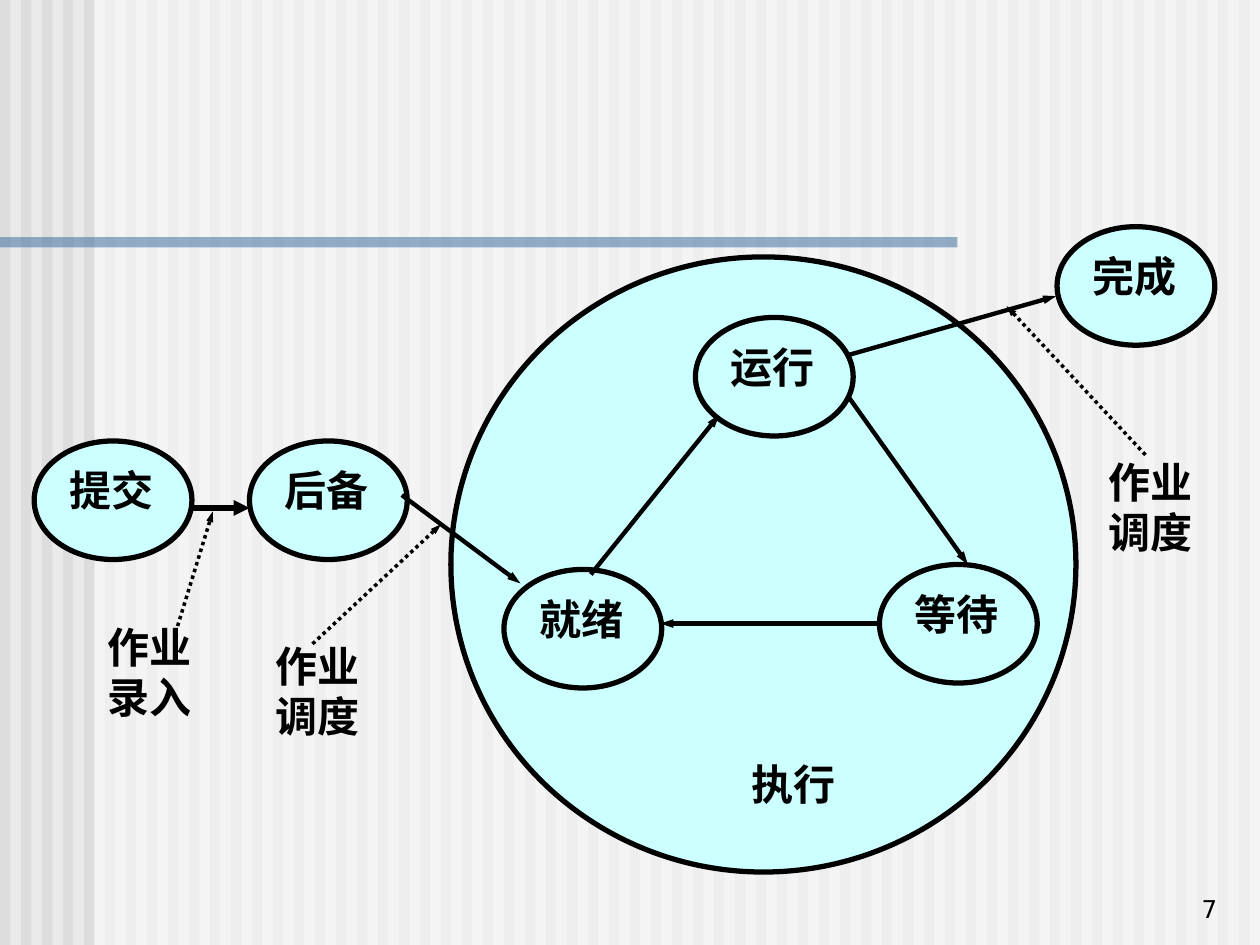
from lxml import etree
from pptx import Presentation
from pptx.dml.color import RGBColor
from pptx.enum import dml, shapes, text
from pptx.oxml import ns
from pptx.util import Cm, Pt

HUES = {"back": "EAEAEA", "stripe": "DDDDDD", "veil": "FFFFFF",
        "rule": "336699", "node": "CCFFFF", "ink": "000000"}
KIND = shapes.MSO_SHAPE
WIDE, HIGH = 25.4, 19.05
OVAL = 3.18, 2.39


def tint(fill, hue):
    fill.solid()
    fill.fore_color.rgb = RGBColor.from_string(HUES[hue])


def add_form(slide, kind, box, hue, alpha=None, edge=None):
    form = slide.shapes.add_shape(kind, *map(Cm, box))
    form.shadow.inherit = False
    tint(form.fill, hue)
    if alpha:
        tone = form._element.spPr.find(".//" + ns.qn("a:srgbClr"))
        etree.SubElement(tone, ns.qn("a:alpha"), val=str(alpha * 1000))
    if edge:
        tint(form.line.fill, "ink")
        form.line.width = Pt(edge)
    else:
        form.line.fill.background()
    return form


def write(form, words, size=24, face="Times New Roman", bold=True,
          align=text.PP_ALIGN.JUSTIFY, anchor=text.MSO_ANCHOR.TOP):
    frame = form.text_frame
    frame.word_wrap = True
    frame.vertical_anchor = anchor
    frame.text = words
    for para in frame.paragraphs:
        para.alignment = align
        font = para.font
        font.size, font.name, font.bold = Pt(size), face, bold
        font.color.rgb = RGBColor.from_string(HUES["ink"])


def add_label(slide, box, words, **style):
    write(slide.shapes.add_textbox(*map(Cm, box)), words, **style)


def add_arrow(slide, ends, width, head="sm", dots=False):
    line = slide.shapes.add_connector(
        shapes.MSO_CONNECTOR.STRAIGHT, *map(Cm, ends))
    tint(line.line.fill, "ink")
    line.line.width = Pt(width)
    if dots:
        line.line.dash_style = dml.MSO_LINE.ROUND_DOT
    props = line._element.spPr
    etree.SubElement(props.find(ns.qn("a:ln")), ns.qn("a:tailEnd"),
                     type="triangle", w=head, len="med")
    etree.SubElement(props, ns.qn("a:effectLst"))


def draw_back(slide, box):
    left, top, wide, high = box
    tint(slide.background.fill, "back")
    count = 60
    pitch = wide / count
    for step in range(count):
        add_form(slide, KIND.RECTANGLE,
                 (left + step * pitch, top, pitch / 2, high), "stripe")
    add_form(slide, KIND.RECTANGLE,
             (left + 1.91, top, wide - 1.91, high), "veil", alpha=50)
    add_form(slide, KIND.RECTANGLE,
             (left, top + 4.78, 19.3, 0.21), "rule", alpha=50)


def draw_flow(slide, box):
    left, top, wide, high = box
    add_form(slide, KIND.OVAL, (left + 8.4, top + 0.61, 12.6, high - 0.61),
             "node", edge=3)

    nodes = [("运行", 13.33, 1.83), ("就绪", 9.47, 6.91),
             ("完成", wide - OVAL[0], 0), ("等待", 17.04, 6.81),
             ("后备", 4.34, 4.32), ("提交", 0, 4.32)]
    for words, x, y in nodes:
        write(add_form(slide, KIND.OVAL, (left + x, top + y, *OVAL),
                       "node", edge=3), words)

    labels = [("作业\n调度", 4.62, 8.21, 2.51, 2.62),
              ("作业\n调度", 21.41, 4.5, 2.39, 2.69),
              ("作业\n录入", 1.22, 7.83, 2.59, 2.77),
              ("执行", 14.22, 10.59, 2.79, 1.4)]
    for words, x, y, *size in labels:
        add_label(slide, (left + x, top + y, *size), words)

    solid = {"width": 2.5}
    dotted = {"width": 2, "dots": True}
    arrows = [(3.2, 5.67, 4.34, 5.67, {"width": 3, "head": "med"}),
              (16.4, 3.41, 18.82, 6.81, solid),
              (17.01, 8, 12.62, 8, solid),
              (11.22, 7.01, 13.81, 3.79, solid),
              (7.41, 5.41, 9.8, 7.19, solid),
              (16.4, 2.59, 20.6, 1.4, solid),
              (2.89, 8.05, 3.6, 5.74, dotted),
              (5.61, 8.41, 8.2, 6, dotted),
              (22.4, 4.6, 19.6, 1.6, dotted)]
    for x1, y1, x2, y2, style in arrows:
        add_arrow(slide, (left + x1, top + y1, left + x2, top + y2), **style)


def draw_foot(slide, box):
    add_label(slide, box, "7", size=14, face="DejaVu Sans", bold=False,
              align=text.PP_ALIGN.RIGHT, anchor=text.MSO_ANCHOR.BOTTOM)


def main():
    deck = Presentation()
    deck.slide_width, deck.slide_height = Cm(WIDE), Cm(HIGH)
    slide = deck.slides.add_slide(deck.slide_layouts[6])
    draw_back(slide, (0, 0, WIDE, HIGH))
    draw_flow(slide, (0.69, 4.57, 23.8, 13.01))
    draw_foot(slide, (19.51, 17.48, 5.28, 1.27))
    deck.save("out.pptx")


if __name__ == "__main__":
    main()
